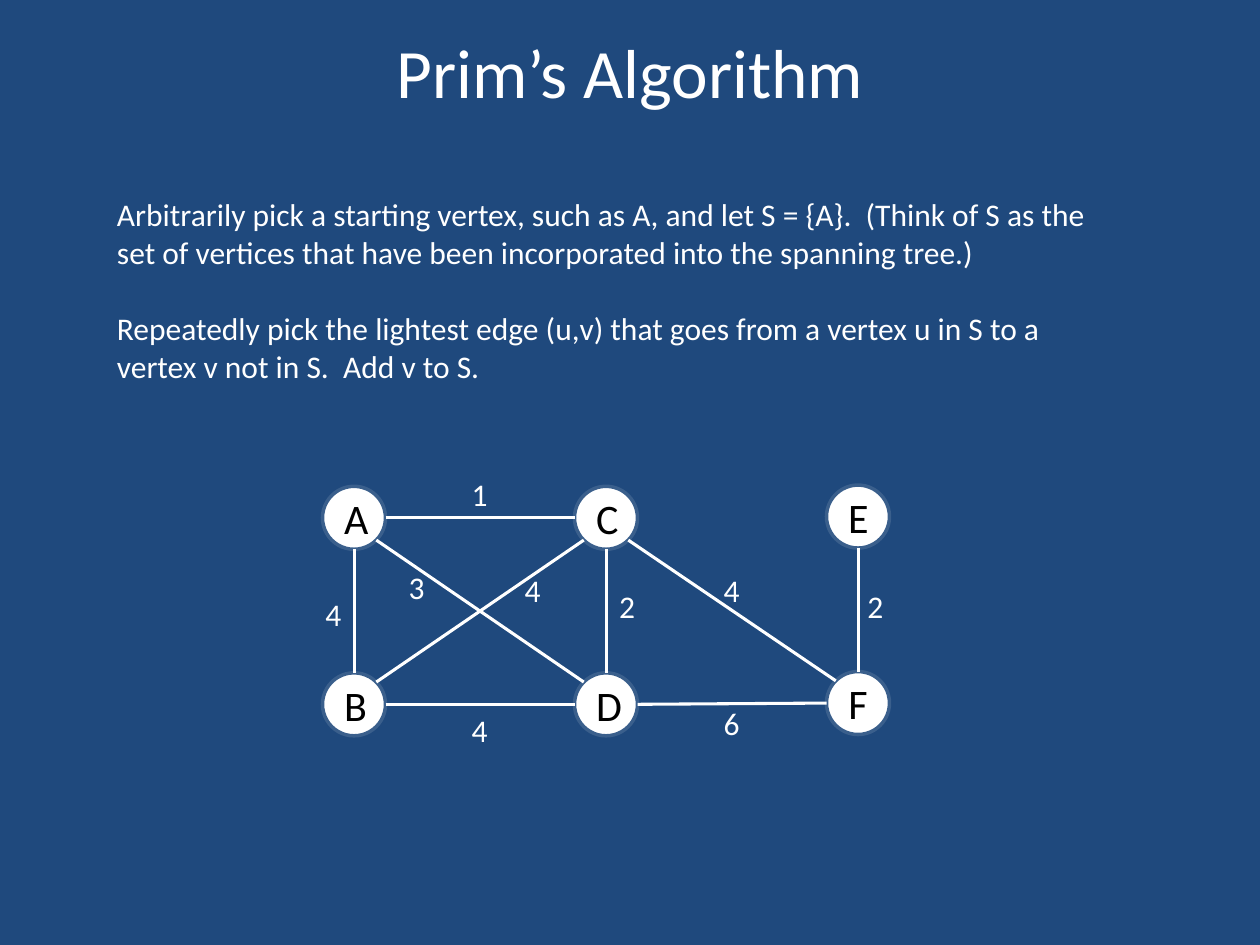
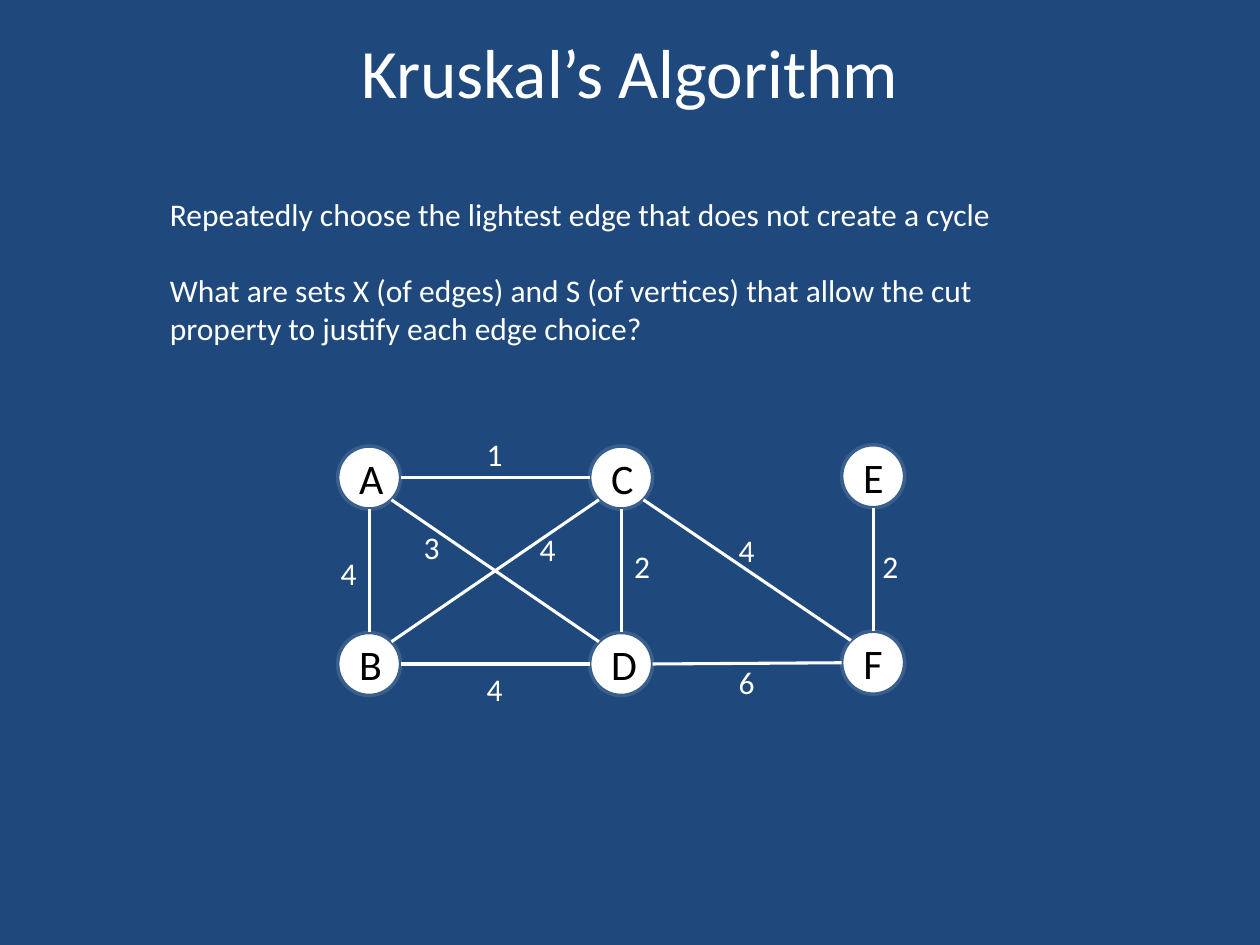
import math
import pptx
import pptx.util
import pptx.dml.color
import pptx.enum.shapes
import pptx.enum.text
import lxml.etree

Inch = pptx.util.Inches
Pt = pptx.util.Pt
SHAPE = pptx.enum.shapes.MSO_SHAPE
WIRE = pptx.enum.shapes.MSO_CONNECTOR.STRAIGHT
ALIGN = pptx.enum.text.PP_ALIGN
ANCHOR = pptx.enum.text.MSO_ANCHOR
FIT = pptx.enum.text.MSO_AUTO_SIZE

WIDE, HIGH = 10, 7.5
FONT = "Calibri"
COLOR = {"back": "1F497D", "text": "FFFFFF", "node": "FFFFFF",
         "rim": "3A5F8C", "name": "000000", "edge": "FFFFFF"}
SIZE = {"title": 39.6, "body": 18, "name": 24}
TITLE = (0.05 * WIDE, 0.023 * HIGH, 0.9 * WIDE, 0.104 * HIGH)

# Graph: vertex -> (column, row); the E-F column sits slightly higher
NODES = {"A": (0, 0), "B": (0, 1), "C": (1, 0),
         "D": (1, 1), "E": (2, 0), "F": (2, 1)}
DIAM, LIFT = 0.5, 0.01
LABEL = (0.33, 0.4)

# Edge ends, weight, and the label's shift from the edge's middle
EDGES = [("A", "C", 1, 0, -0.19), ("A", "B", 4, -0.16, 0.02),
         ("D", "F", 6, 0, 0.15), ("E", "F", 2, 0.14, -0.03),
         ("B", "D", 4, 0, 0.2), ("A", "D", 3, -0.5, -0.19),
         ("B", "C", 4, 0.42, -0.17), ("C", "D", 2, 0.17, -0.04),
         ("C", "F", 4, 0, -0.16)]

SLIDES = [
    {"title": "Prim’s Algorithm",
     "body": ["Arbitrarily pick a starting vertex, such as A, and let S = {A}.  "
              "(Think of S as the set of vertices that have been incorporated "
              "into the spanning tree.)",
              "Repeatedly pick the lightest edge (u,v) that goes from a vertex "
              "u in S to a vertex v not in S.  Add v to S."],
     "text": (0.83, 1.5, 8.08, 1.62),
     "graph": (2.56, 3.86, 4.5, 1.98)},
    {"title": "Kruskal’s Algorithm",
     "body": ["Repeatedly choose the lightest edge that does not create a cycle",
              "What are sets X (of edges) and S (of vertices) that allow the "
              "cut property to justify each edge choice?"],
     "text": (1.25, 1.5, 7.42, 1.31),
     "graph": (2.68, 3.54, 4.5, 1.98)},
]


def rgb(key):
    return pptx.dml.color.RGBColor.from_string(COLOR[key])


def write(para, text, size, color="text"):
    run = para.add_run()
    run.text = text
    run.font.name = FONT
    run.font.size = Pt(size)
    run.font.color.rgb = rgb(color)


def place(box):
    return [Inch(side) for side in box]


def head(slide, text):
    title = slide.shapes.title
    title.left, title.top, title.width, title.height = place(TITLE)
    frame = title.text_frame
    frame.vertical_anchor = ANCHOR.MIDDLE
    para = frame.paragraphs[0]
    para.alignment = ALIGN.CENTER
    write(para, text, SIZE["title"])


def note(slide, box, lines, wrap=True):
    frame = slide.shapes.add_textbox(*place(box)).text_frame
    frame.word_wrap = wrap
    frame.auto_size = FIT.SHAPE_TO_FIT_TEXT
    for index, line in enumerate(lines):
        para = frame.add_paragraph() if index else frame.paragraphs[0]
        if index:
            para.space_before = Pt(22)
        write(para, line, SIZE["body"])


def node(slide, name, x, y):
    box = (x - DIAM / 2, y - DIAM / 2, DIAM, DIAM)
    disc = slide.shapes.add_shape(SHAPE.OVAL, *place(box))
    disc.shadow.inherit = False
    disc.fill.solid()
    disc.fill.fore_color.rgb = rgb("node")
    disc.line.color.rgb = rgb("rim")
    disc.line.width = Pt(2)
    disc.text_frame.vertical_anchor = ANCHOR.MIDDLE
    para = disc.text_frame.paragraphs[0]
    para.alignment = ALIGN.CENTER
    write(para, name, SIZE["name"], "name")


def reach(start, end):
    """Shift from a vertex's centre to its rim, in steps of 45 degrees."""
    across, down = (NODES[end][i] - NODES[start][i] for i in (0, 1))
    angle = math.atan2((down > 0) - (down < 0), (across > 0) - (across < 0))
    return DIAM / 2 * math.cos(angle), DIAM / 2 * math.sin(angle)


def edge(slide, spots, start, end):
    (x1, y1), (x2, y2) = spots[start], spots[end]
    dx, dy = reach(start, end)
    ends = (x1 + dx, y1 + dy, x2 - dx, y2 - dy)
    wire = slide.shapes.add_connector(WIRE, *place(ends))
    wire.line.color.rgb = rgb("edge")
    wire.line.width = Pt(1.75)
    props = wire._element.spPr
    lxml.etree.SubElement(props, pptx.oxml.ns.qn("a:effectLst"))


def graph(slide, box):
    left, top, width, height = box
    col, row = (width - DIAM) / 2, height - DIAM
    spots = {name: (left + DIAM / 2 + c * col,
                    top + DIAM / 2 + r * row - LIFT * (c == 2))
             for name, (c, r) in NODES.items()}
    for name, spot in spots.items():
        node(slide, name, *spot)
    for start, end, weight, dx, dy in EDGES:
        edge(slide, spots, start, end)
        x, y = ((a + b) / 2 for a, b in zip(spots[start], spots[end]))
        wide, high = LABEL
        note(slide, (x + dx - wide / 2, y + dy - high / 2, wide, high),
             [str(weight)], wrap=False)


def main():
    deck = pptx.Presentation()
    deck.slide_width, deck.slide_height = Inch(WIDE), Inch(HIGH)
    back = deck.slide_master.background.fill
    back.solid()
    back.fore_color.rgb = rgb("back")
    for page in SLIDES:
        slide = deck.slides.add_slide(deck.slide_layouts[5])
        head(slide, page["title"])
        note(slide, page["text"], page["body"])
        graph(slide, page["graph"])
    deck.save("out.pptx")


if __name__ == "__main__":
    main()
